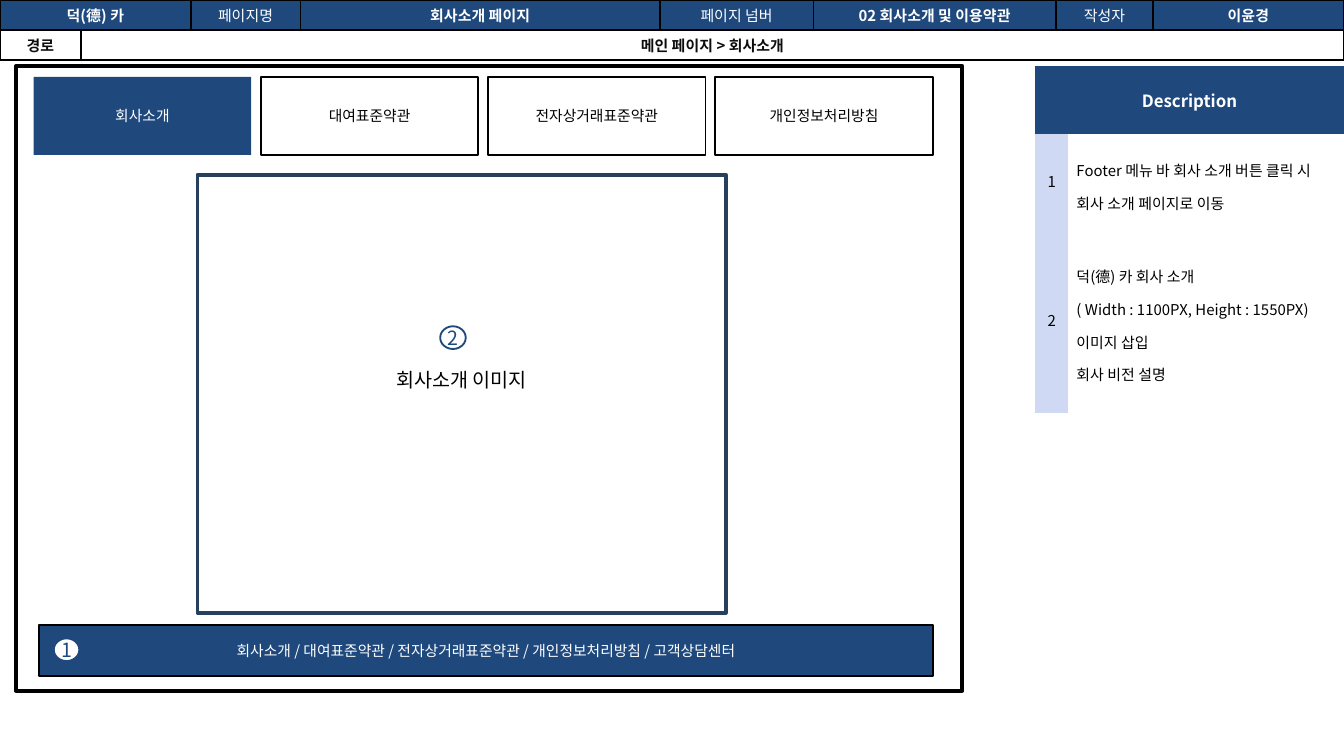
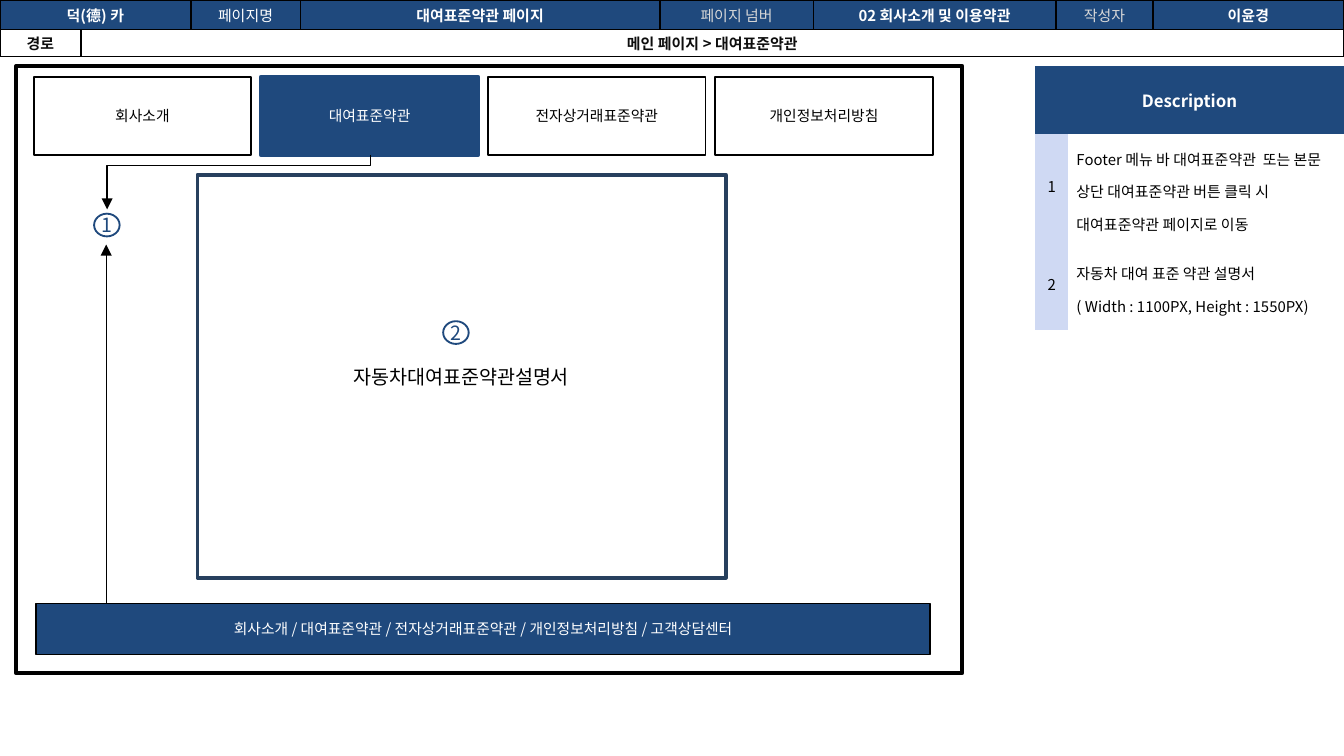
import pptx
import pptx.dml.color
import pptx.enum.shapes
import pptx.enum.text
import pptx.oxml
import pptx.oxml.ns
import pptx.util
from lxml import etree

Pt = pptx.util.Pt
RGB = pptx.dml.color.RGBColor.from_string
qn = pptx.oxml.ns.qn
SHAPES = pptx.enum.shapes.MSO_SHAPE
CONNECTORS = pptx.enum.shapes.MSO_CONNECTOR
MIDDLE = pptx.enum.text.MSO_ANCHOR.MIDDLE
LEFT, CENTER = pptx.enum.text.PP_ALIGN.LEFT, pptx.enum.text.PP_ALIGN.CENTER

# Shared look
FONT = "Noto Sans CJK KR"
NAVY, SLATE, LAVENDER = "1F497D", "27405E", "CFD9F3"
BLACK, INK, WHITE, SILVER = "000000", "0D0D0D", "FFFFFF", "D8D8D8"
PLAIN_TABLE = "{2D5ABB26-0587-4C30-8999-92F81FD0307C}"

# Shared content
TABS = ["회사소개", "대여표준약관", "전자상거래표준약관", "개인정보처리방침"]
FOOTER = " / ".join(TABS + ["고객상담센터"])
HEADER_WIDTHS = [43.4, 58.8, 58.8, 192.6, 82.2, 130, 52, 102.2]

# What differs between the pages
PAGES = [
    dict(
        active=0, active_line=None, label_color=WHITE,
        header_heights=[15.9, 13], header_margins=(4.3, 2.2),
        image_text="회사소개 이미지", image_height=234.7, image_lift=15.2,
        footer_at=(20.9, 334.8), frame_height=334.8,
        notes=["Footer 메뉴 바 회사 소개 버튼 클릭 시 회사 소개 페이지로 이동",
               "덕(德) 카 회사 소개\n( Width : 1100PX, Height : 1550PX)\n"
               "이미지 삽입\n회사 비전 설명"],
        note_heights=[36.7, 49.7, 99.4],
        markers=[(28.8, 342), (235.8, 174.8)], arrows=False,
    ),
    dict(
        active=1, active_line=NAVY, label_color=SILVER,
        header_heights=[15.9, 13.7], header_margins=(3.6, 1.4),
        image_text="자동차대여표준약관설명서", image_height=216, image_lift=0,
        footer_at=(19.4, 323.3), frame_height=325.4,
        notes=["Footer 메뉴 바 대여표준약관  또는 본문 상단 대여표준약관 버튼 클릭 시 "
               "대여표준약관 페이지로 이동",
               "자동차 대여 표준 약관 설명서\n( Width : 1100PX, Height : 1550PX)"],
        note_heights=[36.7, 49.7, 49.7],
        markers=[(50.4, 114.5), (237.4, 172.1)], arrows=True,
    ),
]


def write(frame, text, size, color, bold=False, align=CENTER, spacing=None):
    frame.text = text
    for paragraph in frame.paragraphs:
        paragraph.alignment = align
        if spacing:
            paragraph.line_spacing = spacing
        for run in paragraph.runs:
            run.font.size, run.font.bold, run.font.name = Pt(size), bold, FONT
            run.font.color.rgb = RGB(color)
            east_asian = etree.SubElement(run.font._element, qn("a:ea"))
            east_asian.set("typeface", FONT)


def draw(slide, kind, left, top, width, height, fill=None, line=None, weight=1):
    shape = slide.shapes.add_shape(kind, Pt(left), Pt(top), Pt(width), Pt(height))
    shape.shadow.inherit = False
    if fill:
        shape.fill.solid()
        shape.fill.fore_color.rgb = RGB(fill)
    else:
        shape.fill.background()
    if line:
        shape.line.color.rgb = RGB(line)
        shape.line.width = Pt(weight)
    else:
        shape.line.fill.background()
    shape.text_frame.vertical_anchor = MIDDLE
    return shape


deck = pptx.Presentation()
deck.slide_width, deck.slide_height = Pt(720), Pt(405)

for page in PAGES:
    slide = deck.slides.add_slide(deck.slide_layouts[6])
    current = TABS[page["active"]]

    # Tabs
    for i, name in enumerate(TABS):
        on = i == page["active"]
        tab = draw(slide, SHAPES.RECTANGLE, 18 + 121.7 * i, 41.2, 116.6, 41.8,
                   NAVY if on else WHITE, page["active_line"] if on else BLACK,
                   2 if on else 1)
        write(tab.text_frame, name, 7.9, WHITE if on else BLACK)

    # Image area
    image_area = draw(slide, SHAPES.RECTANGLE, 105.8, 93.6, 283, page["image_height"],
                      WHITE, SLATE, 2)
    image_area.text_frame.margin_bottom = Pt(3.6 + page["image_lift"])
    write(image_area.text_frame, page["image_text"], 10.5, BLACK)

    # Footer menu and page frame
    footer = draw(slide, SHAPES.RECTANGLE, *page["footer_at"], 478.8, 27.4, NAVY, BLACK)
    write(footer.text_frame, FOOTER, 7.9, WHITE)
    draw(slide, SHAPES.RECTANGLE, 8.6, 35.3, 506.9, page["frame_height"], None, BLACK, 2)

    # Header and description tables; a cell is text, size, colour, bold, fill, align, spacing
    labels = ["덕(德) 카", None, "페이지명", f"{current} 페이지", "페이지 넘버",
              "02 회사소개 및 이용약관", "작성자", "이윤경"]
    header_row = [text and (text, 8, page["label_color"] if i in (4, 6) else WHITE,
                            i not in (2, 4, 6), NAVY)
                  for i, text in enumerate(labels)]
    route_row = [("경로", 8, INK, True, None),
                 (f"메인 페이지 > {current}", 8, INK, True, None)] + [None] * 6
    note_rows = [[("Description", 9, WHITE, True, NAVY), None]]
    for number, note in enumerate(page["notes"], 1):
        note_rows.append([(str(number), 8, BLACK, False, LAVENDER),
                          (note, 8, BLACK, False, WHITE, LEFT, 1.5)])

    for left, top, widths, heights, rows, spans, margins, bordered in [
        (0, 0, HEADER_WIDTHS, page["header_heights"], [header_row, route_row],
         [(0, 0, 1), (1, 1, 7)], page["header_margins"], True),
        (554.4, 35.3, [18, 147.6], page["note_heights"], note_rows,
         [(0, 0, 1)], (4.3, 1.4), False),
    ]:
        table = slide.shapes.add_table(len(rows), len(widths), Pt(left), Pt(top),
                                       Pt(sum(widths)), Pt(sum(heights))).table
        table.first_row = table.horz_banding = False
        table._tbl.tblPr.find(qn("a:tableStyleId")).text = PLAIN_TABLE
        for column, width in zip(table.columns, widths):
            column.width = Pt(width)
        for row, height in zip(table.rows, heights):
            row.height = Pt(height)
        for r, first, last in spans:
            table.cell(r, first).merge(table.cell(r, last))

        for r, row in enumerate(rows):
            for c, content in enumerate(row):
                cell = table.cell(r, c)
                cell.margin_left = cell.margin_right = Pt(margins[0])
                cell.margin_top = cell.margin_bottom = Pt(margins[1])
                cell.vertical_anchor = MIDDLE
                if bordered:
                    for side in ("lnL", "lnR", "lnT", "lnB"):
                        border = etree.SubElement(cell._tc.tcPr, qn(f"a:{side}"), w="12700")
                        paint = etree.SubElement(border, qn("a:solidFill"))
                        etree.SubElement(paint, qn("a:srgbClr"), val=BLACK)
                if content:
                    text, size, color, bold, fill, *layout = content
                    write(cell.text_frame, text, size, color, bold, *layout)
                    if fill:
                        cell.fill.solid()
                        cell.fill.fore_color.rgb = RGB(fill)
                    else:
                        cell.fill.background()

    # Arrows from the tab and from the footer to marker 1
    if page["arrows"]:
        # The elbow lies on its side and is turned by 90 degrees
        from_tab = slide.shapes.add_connector(CONNECTORS.ELBOW, Pt(113.4), Pt(27),
                                              Pt(142.6), Pt(168.2))
        from_tab._element.spPr.find(qn("a:xfrm")).set("rot", "5400000")
        bend = from_tab._element.spPr.find(qn("a:prstGeom")).get_or_add_avLst()
        etree.SubElement(bend, qn("a:gd"), name="adj1", fmla="val 19100")
        from_footer = slide.shapes.add_connector(CONNECTORS.STRAIGHT, Pt(56.9), Pt(323.3),
                                                 Pt(56.9), Pt(131))
        for arrow in (from_tab, from_footer):
            arrow.line.color.rgb = RGB(BLACK)
            arrow.line.width = Pt(0.75)
            etree.SubElement(arrow.line._get_or_add_ln(), qn("a:tailEnd"), type="triangle")
            etree.SubElement(arrow._element.spPr, qn("a:effectLst"))

    # Numbered markers
    for number, (left, top) in enumerate(page["markers"], 1):
        marker = draw(slide, SHAPES.OVAL, left, top, 13.7, 12.2, WHITE, NAVY)
        frame = marker.text_frame
        frame.margin_left = frame.margin_right = frame.margin_top = frame.margin_bottom = 0
        frame.word_wrap = False
        write(frame, str(number), 10.5, NAVY)

deck.save("out.pptx")
